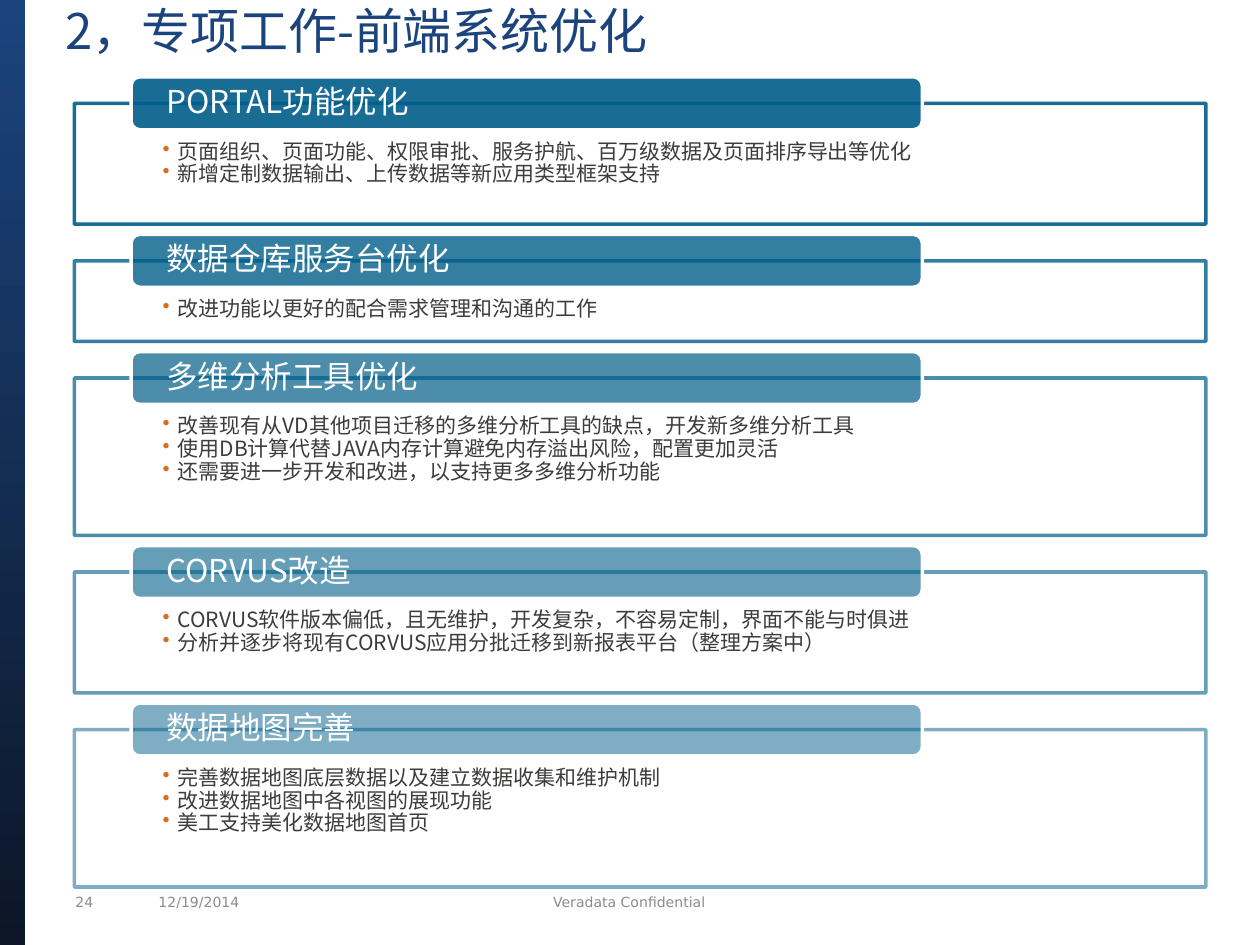
from lxml import etree
from pptx import Presentation
from pptx.dml.color import RGBColor
from pptx.enum.shapes import MSO_SHAPE
from pptx.enum.text import MSO_ANCHOR, PP_ALIGN
from pptx.oxml.ns import qn
from pptx.util import Inches, Pt

RECT, ROUNDED = MSO_SHAPE.RECTANGLE, MSO_SHAPE.ROUNDED_RECTANGLE
TOP, MIDDLE = MSO_ANCHOR.TOP, MSO_ANCHOR.MIDDLE
LEFT, CENTER = PP_ALIGN.LEFT, PP_ALIGN.CENTER

CJK, SANS = "Noto Sans CJK SC", "DejaVu Sans"
NAVY, DARK, TEAL, WHITE = "1B447D", "0C1627", "005E8A", "FFFFFF"
TEXT, GREY, ORANGE = "3C3C3B", "8B8B89", "D56D23"

# Section title and its points
SECTIONS = [
    ("PORTAL功能优化", [
        "页面组织、页面功能、权限审批、服务护航、百万级数据及页面排序导出等优化",
        "新增定制数据输出、上传数据等新应用类型框架支持"]),
    ("数据仓库服务台优化", ["改进功能以更好的配合需求管理和沟通的工作"]),
    ("多维分析工具优化", [
        "改善现有从VD其他项目迁移的多维分析工具的缺点，开发新多维分析工具",
        "使用DB计算代替JAVA内存计算避免内存溢出风险，配置更加灵活",
        "还需要进一步开发和改进，以支持更多多维分析功能"]),
    ("CORVUS改造", [
        "CORVUS软件版本偏低，且无维护，开发复杂，不容易定制，界面不能与时俱进",
        "分析并逐步将现有CORVUS应用分批迁移到新报表平台（整理方案中）"]),
    ("数据地图完善", [
        "完善数据地图底层数据以及建立数据收集和维护机制",
        "改进数据地图中各视图的展现功能",
        "美工支持美化数据地图首页"]),
]
BOX_HEIGHTS = {1: 0.64, 2: 0.96, 3: 1.25}
FIRST_TOP, GAP, TAB_RISE = 0.82, 0.29, 0.21


def color(hex_value):
    return RGBColor.from_string(hex_value)


def set_alpha(fill, percent):
    """Make a solid fill partly transparent."""
    node = fill._xPr.find(qn("a:solidFill"))[0]
    etree.SubElement(node, qn("a:alpha"), val=str(percent * 1000))


class Page:
    def __init__(self, deck):
        self.shapes = deck.slides.add_slide(deck.slide_layouts[6]).shapes

    def fill_text(self, box, lines, size, hex_value, font=CJK, align=LEFT,
                  anchor=TOP, insets=(0.1, 0.05, 0.1, 0.05), spacing=None, bullet=False):
        frame = box.text_frame
        sides = ("left", "top", "right", "bottom")
        formats = {f"margin_{side}": Inches(inset) for side, inset in zip(sides, insets)}
        formats |= {"word_wrap": True, "vertical_anchor": anchor}
        for name, value in formats.items():
            setattr(frame, name, value)
        for number, line in enumerate(lines):
            para = frame.add_paragraph() if number else frame.paragraphs[0]
            if bullet:
                self.add_bullet(para)
            para.alignment = align
            para.line_spacing = spacing
            span = para.add_run()
            span.text = line
            for name, value in {"size": Pt(size), "name": font}.items():
                setattr(span.font, name, value)
            span.font.color.rgb = color(hex_value)
            etree.SubElement(span.font._element, qn("a:ea"), typeface=font)

    def add_bullet(self, para):
        props = para._p.get_or_add_pPr()
        indent = Inches(0.12)
        props.set("marL", str(indent))
        props.set("indent", str(-indent))
        tint = etree.SubElement(props, qn("a:buClr"))
        etree.SubElement(tint, qn("a:srgbClr"), val=ORANGE)
        etree.SubElement(props, qn("a:buChar"), char="•")

    def text(self, place, line, size, hex_value, **style):
        box = self.shapes.add_textbox(*map(Inches, place))
        self.fill_text(box, [line], size, hex_value, **style)

    def block(self, kind, place, fill, line, fill_alpha=100, line_alpha=100):
        box = self.shapes.add_shape(kind, *map(Inches, place))
        box.shadow.inherit = False
        box.line.width = Pt(2)
        for part, hex_value, alpha in ((box.fill, fill, fill_alpha),
                                       (box.line.fill, line, line_alpha)):
            part.solid()
            part.fore_color.rgb = color(hex_value)
            set_alpha(part, alpha)
        return box

    def gradient_bar(self, place, bottom, top):
        bar = self.shapes.add_shape(RECT, *map(Inches, place))
        bar.shadow.inherit = False
        bar.line.fill.background()
        bar.fill.gradient()
        bar.fill.gradient_angle = 90
        for stop, hex_value in zip(bar.fill.gradient_stops, (bottom, top)):
            stop.color.rgb = color(hex_value)

    def section(self, top, height, title, points, alpha):
        box = self.block(RECT, (0.59, top, 8.98, height), WHITE, TEAL, 90, alpha)
        self.fill_text(box, points, 12, TEXT, insets=(0.7, 0.3, 0.7, 0.09),
                       spacing=0.9, bullet=True)
        tab = self.block(ROUNDED, (1.04, top - TAB_RISE, 6.28, 0.42), TEAL, WHITE, alpha)
        self.fill_text(tab, [title], 18, WHITE, anchor=MIDDLE,
                       insets=(0.26, 0, 0.26, 0), spacing=0.9)


def main():
    deck = Presentation()
    deck.slide_width, deck.slide_height = Inches(10), Inches(7.5)
    page = Page(deck)

    # Footer and side bar
    for place, line, align in (((0.5, 7.04, 0.5, 0.24), "24", LEFT),
                               ((1.16, 7.04, 1.67, 0.24), "12/19/2014", LEFT),
                               ((2.91, 7.04, 4.17, 0.24), "Veradata Confidential", CENTER)):
        page.text(place, line, 8, GREY, font=SANS, align=align, anchor=MIDDLE)
    page.gradient_bar((0, 0, 0.2, 7.5), DARK, NAVY)

    # Title
    page.text((0.42, 0, 9.33, 1.25), "2，专项工作-前端系统优化", 28, NAVY,
              insets=(0.1, 0, 0.1, 0))

    # Sections, each fainter than the one above
    top = FIRST_TOP
    for number, (title, points) in enumerate(SECTIONS):
        height = BOX_HEIGHTS[len(points)]
        page.section(top, height, title, points, 90 - 10 * number)
        top += height + GAP

    deck.save("out.pptx")


if __name__ == "__main__":
    main()
